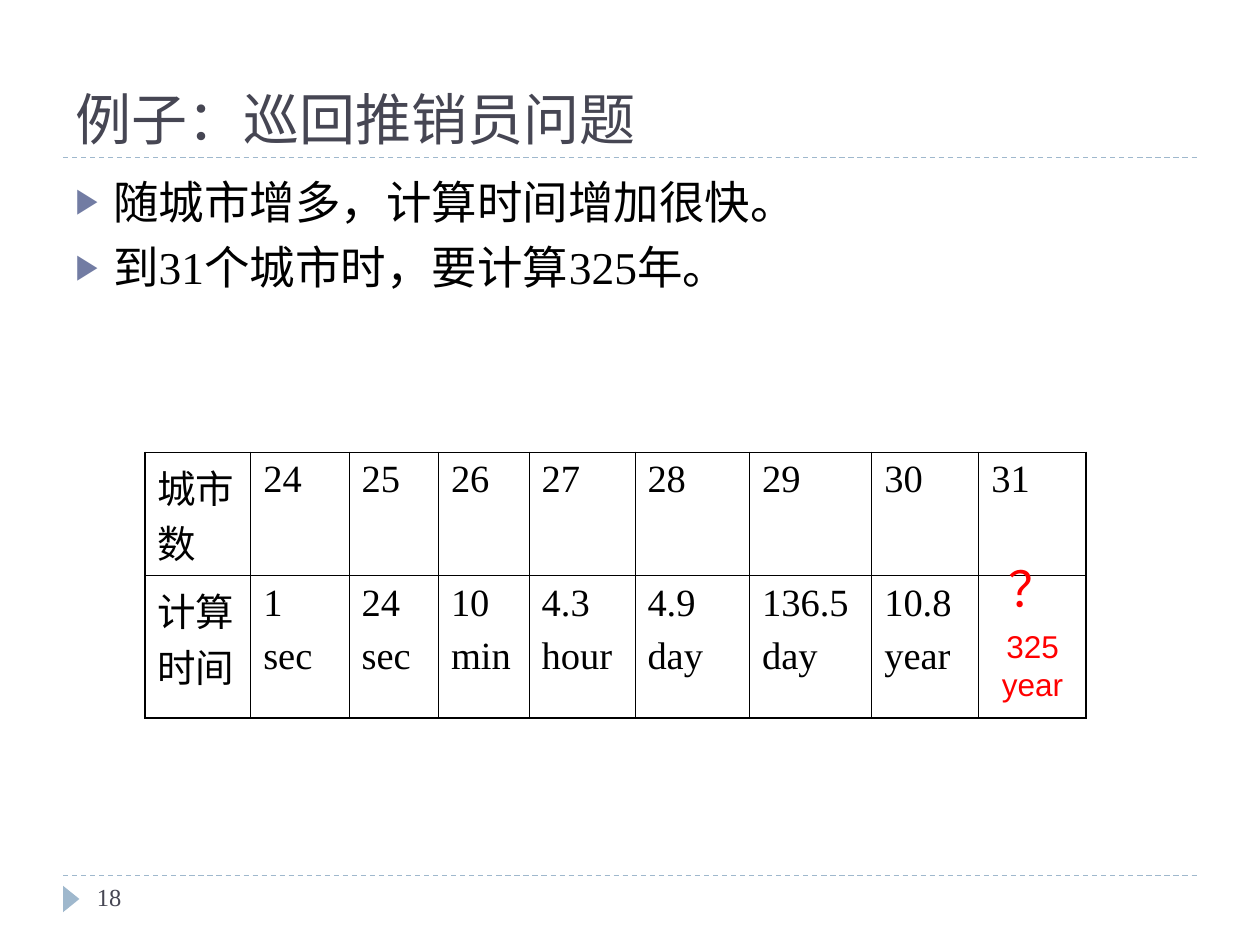
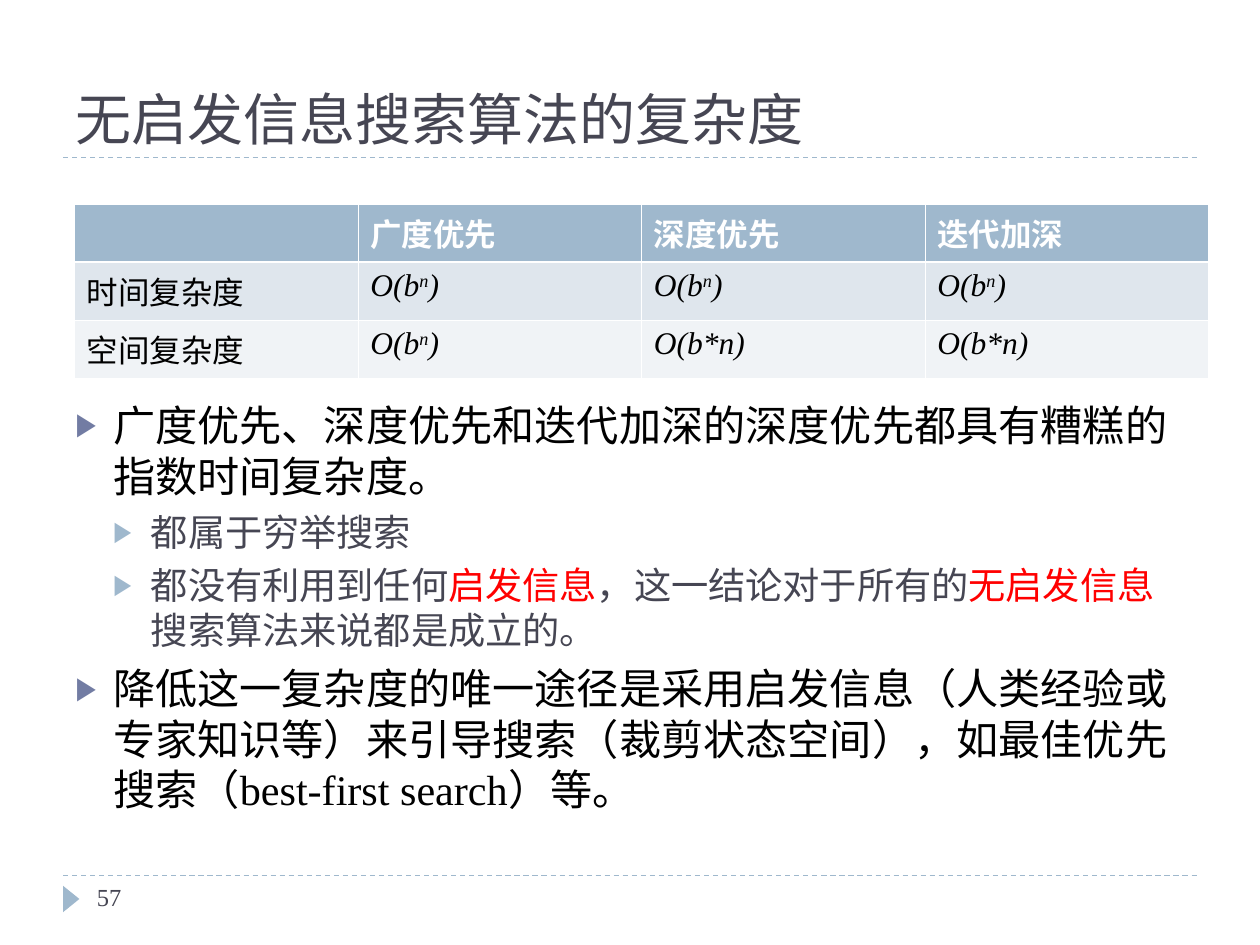
import pptx
import pptx.dml.color
import pptx.enum.dml
import pptx.enum.shapes
import pptx.enum.text
import pptx.oxml.ns
import pptx.util
from lxml import etree

Inches = pptx.util.Inches
Pt = pptx.util.Pt
qn = pptx.oxml.ns.qn

# Shared look
SERIF, SANS = "Times New Roman", "Arial"
BLACK, WHITE, RED = "000000", "FFFFFF", "FF0000"
SLATE, SKY, INDIGO = "464653", "9FB8CD", "727CA3"
THIN, OUTER, HEADER_RULE = 0.45, 1.08, 1.47
LEFT, RIGHT, WIDTH = 0.5, 9.5, 9
RULES = (1.25, 6.95)

# Each level: indent, space before, bullet colour, text colour
LEVELS = [(0.3, 6, INDIGO, BLACK), (0.6, 5, SKY, SLATE)]

# Content: a text is a list of (words, kind) spans
TSP = {
    "title": "例子：巡回推销员问题",
    "number": "18",
    "top": 1.33,
    "height": 5.37,
    "sizes": (26, 22),
    "points": [
        (0, [("随城市增多，计算时间增加很快。", "")]),
        (0, [("到31个城市时，要计算325年。", "")]),
    ],
}
CITY_COLUMNS = [0.84, 0.78, 0.71, 0.72, 0.84, 0.91, 0.97, 0.85, 0.85]
CITY_ROWS = [0.98, 1.13]
CITY_CELLS = [
    ["城市数", "24", "25", "26", "27", "28", "29", "30", "31"],
    ["计算时间", "1\nsec", "24\nsec", "10\nmin", "4.3\nhour", "4.9\nday",
     "136.5\nday", "10.8\nyear", ""],
]
# Text, top, height, size
ANSWERS = [("？", 4.38, 0.57, 28), ("325year", 4.93, 0.7, 18)]

COMPLEXITY = {
    "title": "无启发信息搜索算法的复杂度",
    "number": "57",
    "top": 3.12,
    "height": 3.58,
    "sizes": (24.1, 21.3),
    "points": [
        (0, [("广度优先、深度优先和迭代加深的深度优先都具有糟糕的指数时间复杂度。", "")]),
        (1, [("都属于穷举搜索", "")]),
        (1, [("都没有利用到任何", ""), ("启发信息", "red"),
             ("，这一结论对于所有的", ""), ("无启发信息", "red"),
             ("搜索算法来说都是成立的。", "")]),
        (0, [("降低这一复杂度的唯一途径是采用启发信息（人类经验或专家知识等）来引导搜索"
              "（裁剪状态空间），如最佳优先搜索（best-first search）等。", "")]),
    ],
}
EXPONENTIAL = [("O(b", ""), ("n", "sup"), (")", "")]
LINEAR = [("O(b*n)", "")]
ORDER_HEADER = ["", "广度优先", "深度优先", "迭代加深"]
ORDER_ROWS = [
    ("时间复杂度", [EXPONENTIAL, EXPONENTIAL, EXPONENTIAL]),
    ("空间复杂度", [EXPONENTIAL, LINEAR, LINEAR]),
]
ORDER_FILLS = [SKY, "DFE6ED", "F0F3F6"]


def colour(code):
    return pptx.dml.color.RGBColor.from_string(code)


def write(para, spans, size, face, ink, bold=False, italic=False, asian=None):
    """Fill a paragraph with spans that share one font."""
    font = para.font
    font.size, font.name, font.bold, font.italic = Pt(size), face, bold, italic
    font.color.rgb = colour(ink)
    if asian:
        defaults = para._p.pPr.find(qn("a:defRPr"))
        etree.SubElement(defaults, qn("a:ea"), typeface=asian)
    for words, kind in spans:
        span = para.add_run()
        span.text = words
        if kind == "red":
            span.font.color.rgb = colour(RED)
        elif kind == "sup":
            span._r.get_or_add_rPr().set("baseline", "30000")


def add_box(page, left, top, width, height):
    box = page.shapes.add_textbox(Inches(left), Inches(top), Inches(width), Inches(height))
    box.text_frame.word_wrap = True
    return box.text_frame


def add_bullet(para, indent, ink):
    props = para._p.get_or_add_pPr()
    props.set("marL", str(Inches(indent)))
    props.set("indent", str(Inches(-0.3)))
    tint = etree.SubElement(props, qn("a:buClr"))
    etree.SubElement(tint, qn("a:srgbClr"), val=ink)
    etree.SubElement(props, qn("a:buSzPct"), val="76000")
    etree.SubElement(props, qn("a:buFont"), typeface=SANS)
    etree.SubElement(props, qn("a:buChar"), char="▶")


def add_page(deck, content):
    """Rules, page marker, title and bullets common to every page."""
    page = deck.slides.add_slide(deck.slide_layouts[6])
    for y in RULES:
        rule = page.shapes.add_connector(
            pptx.enum.shapes.MSO_CONNECTOR.STRAIGHT,
            Inches(LEFT), Inches(y), Inches(RIGHT), Inches(y))
        rule.line.color.rgb = colour(SKY)
        rule.line.width = Pt(0.75)
        rule.line.dash_style = pptx.enum.dml.MSO_LINE.DASH
        etree.SubElement(rule._element.spPr, qn("a:effectLst"))

    marker = page.shapes.add_shape(
        pptx.enum.shapes.MSO_SHAPE.ISOSCELES_TRIANGLE,
        Inches(0.46), Inches(7.07), Inches(0.21), Inches(0.13))
    marker.rotation = 90
    marker.shadow.inherit = False
    marker.fill.solid()
    marker.fill.fore_color.rgb = colour(SKY)
    marker.line.fill.background()

    number = add_box(page, 0.67, 6.95, 2.17, 0.4)
    write(number.paragraphs[0], [(content["number"], "")], 14, SERIF, SLATE)

    title = add_box(page, LEFT, 0.17, WIDTH, 1.08)
    title.vertical_anchor = pptx.enum.text.MSO_ANCHOR.BOTTOM
    write(title.paragraphs[0], [(content["title"], "")], 32, SANS, SLATE, asian=SANS)

    body = add_box(page, LEFT, content["top"], WIDTH, content["height"])
    for index, (level, spans) in enumerate(content["points"]):
        para = body.add_paragraph() if index else body.paragraphs[0]
        indent, before, bullet_ink, ink = LEVELS[level]
        add_bullet(para, indent, bullet_ink)
        if index:
            para.space_before = Pt(before)
        write(para, spans, content["sizes"][level], SERIF, ink, asian=SANS)
    return page


def add_grid(page, left, top, columns, rows):
    frame = page.shapes.add_table(
        len(rows), len(columns), Inches(left), Inches(top),
        Inches(sum(columns)), Inches(sum(rows)))
    table = frame.table
    table.first_row = table.horz_banding = False
    for column, width in zip(table.columns, columns):
        column.width = Inches(width)
    for row, height in zip(table.rows, rows):
        row.height = Inches(height)
    return table


def paint(cell, fill, ink, widths):
    """Set the fill and the left, right, top and bottom borders."""
    props = cell._tc.get_or_add_tcPr()
    for side, width in zip(("a:lnL", "a:lnR", "a:lnT", "a:lnB"), widths):
        line = etree.SubElement(props, qn(side), w=str(Pt(width)))
        solid = etree.SubElement(line, qn("a:solidFill"))
        etree.SubElement(solid, qn("a:srgbClr"), val=ink)
    if fill:
        cell.fill.solid()
        cell.fill.fore_color.rgb = colour(fill)
    else:
        cell.fill.background()


def build_city_table(page):
    table = add_grid(page, 1.15, 3.59, CITY_COLUMNS, CITY_ROWS)
    last_row, last_column = len(CITY_ROWS) - 1, len(CITY_COLUMNS) - 1
    for r, texts in enumerate(CITY_CELLS):
        for c, text in enumerate(texts):
            cell = table.cell(r, c)
            edges = (c == 0, c == last_column, r == 0, r == last_row)
            paint(cell, None, BLACK, [OUTER if edge else THIN for edge in edges])
            if not text:
                continue
            frame = cell.text_frame
            for index, words in enumerate(text.split("\n")):
                para = frame.add_paragraph() if index else frame.paragraphs[0]
                if index:
                    para.space_before = Pt(6)
                write(para, [(words, "")], 22, SERIF, BLACK)


def build_order_table(page):
    table = add_grid(page, 0.59, 1.62, [2.25] * 4, [0.46] * 3)
    for r, fill in enumerate(ORDER_FILLS):
        above = HEADER_RULE if r == 1 else THIN
        below = HEADER_RULE if r == 0 else THIN
        for c in range(len(ORDER_HEADER)):
            paint(table.cell(r, c), fill, WHITE, (THIN, THIN, above, below))
    for c, words in enumerate(ORDER_HEADER):
        if words:
            para = table.cell(0, c).text_frame.paragraphs[0]
            write(para, [(words, "")], 18, SERIF, WHITE, bold=True)
    for r, (label, orders) in enumerate(ORDER_ROWS, 1):
        for c, spans in enumerate([[(label, "")]] + orders):
            para = table.cell(r, c).text_frame.paragraphs[0]
            write(para, spans, 18, SERIF, BLACK, italic=c > 0)


def main():
    deck = pptx.Presentation()
    deck.slide_width, deck.slide_height = Inches(10), Inches(7.5)

    # Travelling salesman: running times and the answer in red
    page = add_page(deck, TSP)
    build_city_table(page)
    for words, top, height, size in ANSWERS:
        para = add_box(page, 7.84, top, 0.71, height).paragraphs[0]
        para.alignment = pptx.enum.text.PP_ALIGN.CENTER
        write(para, [(words, "")], size, SANS, RED, asian=SANS)

    # Complexity of uninformed search
    build_order_table(add_page(deck, COMPLEXITY))

    deck.save("out.pptx")


if __name__ == "__main__":
    main()
